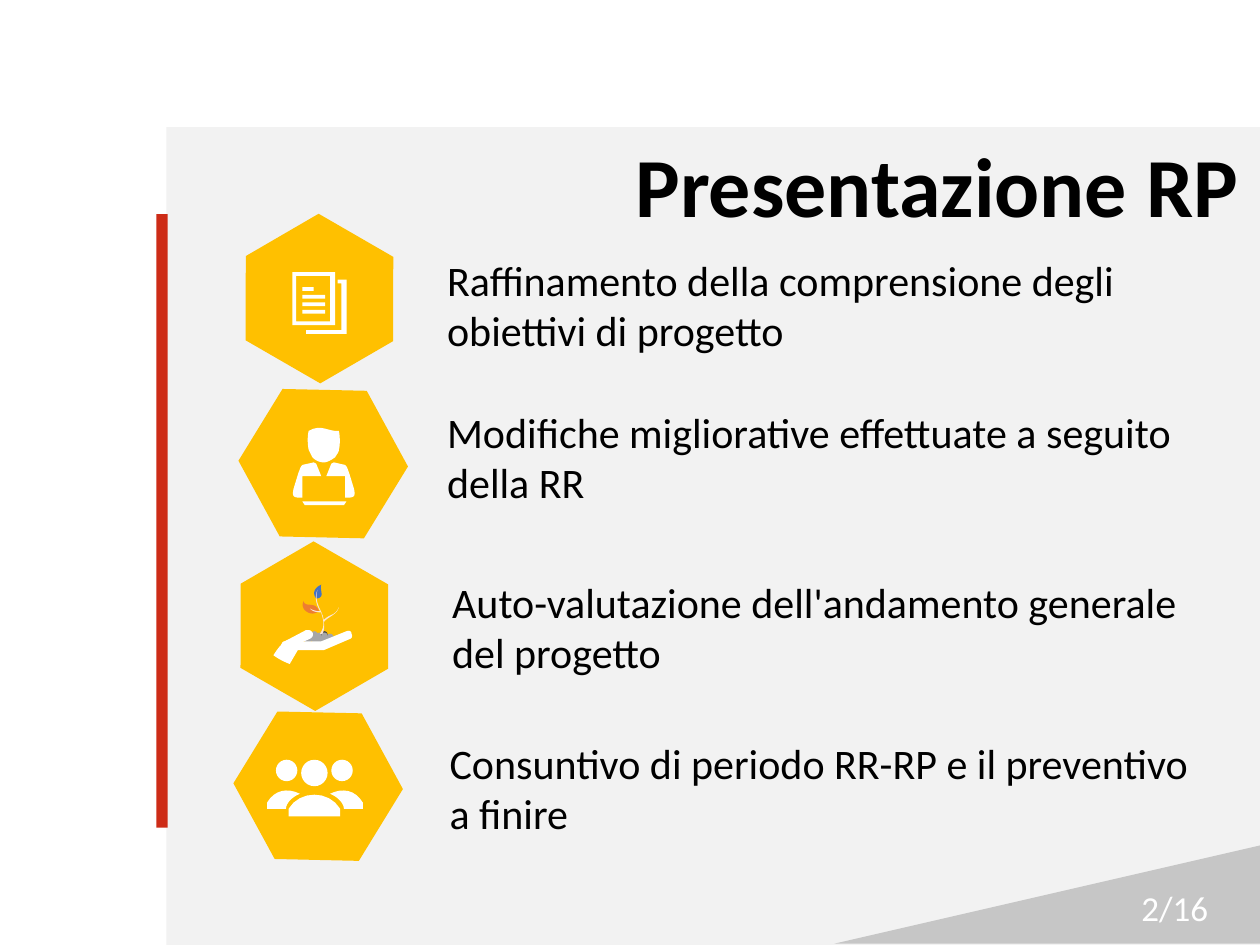
from lxml.etree import SubElement
from pptx import Presentation
from pptx.dml.color import RGBColor
from pptx.enum.shapes import MSO_SHAPE as Kind
from pptx.enum.text import MSO_ANCHOR as Anchor, MSO_AUTO_SIZE as Fit, PP_ALIGN as Align
from pptx.oxml.ns import qn
from pptx.util import Cm, Pt

WHITE, BLACK, GOLD, GREY = "FFFFFF", "000000", "FFC000", "A6A6A6"


def size(inch):
    return Cm(inch * 2.54)


def color(code):
    return RGBColor.from_string(code)


def trace(start, *parts):
    """List the points of an outline; a part is a line end or a cubic curve."""
    pts = [start]
    for part in parts:
        if len(part) == 2:
            pts.append(part)
            continue
        x, y = pts[-1]
        a, b, c, d, e, f = part
        for t in (i / 8 for i in range(1, 9)):
            u = 1 - t
            k = (u ** 3, 3 * u * u * t, 3 * u * t * t, t ** 3)
            pts.append((k[0] * x + k[1] * a + k[2] * c + k[3] * e,
                        k[0] * y + k[1] * b + k[2] * d + k[3] * f))
    return pts


def box(x, y, w, h):
    return [(x, y), (x + w, y), (x + w, y + h), (x, y + h)]


def flip(pts, axis):
    return [(2 * axis - x, y) for x, y in pts]


class Page:
    font = "Calibri"

    def __init__(self, slide):
        self.slide = slide
        self.into = slide.shapes

    def group(self):
        self.into = self.slide.shapes.add_group_shape().shapes

    def leave(self):
        self.into = self.slide.shapes

    def paint(self, shape, fill):
        shape.shadow.inherit = False
        shape.fill.solid()
        shape.fill.fore_color.rgb = color(fill)
        shape.line.fill.background()
        return shape

    def shape(self, kind, x, y, w, h, fill, turn=0, adj=None, alpha=None):
        item = self.into.add_shape(kind, size(x), size(y), size(w), size(h))
        self.paint(item, fill).rotation = turn
        if adj is not None:
            item.adjustments[0] = adj
        if alpha:
            tint = item.fill._xPr.find(qn("a:solidFill"))[0]
            SubElement(tint, qn("a:alpha"), val=str(alpha * 1000))

    def dot(self, x, y, d, fill):
        self.shape(Kind.OVAL, x, y, d, d, fill)

    def free(self, fill, *loops):
        loops = [[(size(x), size(y)) for x, y in loop] for loop in loops]
        pen = self.into.build_freeform(*loops[0][0], scale=1.0)
        for i, loop in enumerate(loops):
            if i:
                pen.move_to(*loop[0])
            pen.add_line_segments(loop[1:], close=True)
        self.paint(pen.convert_to_shape(), fill)

    def text(self, words, x, y, w, h, pt=24, ink=BLACK, bold=False,
             align=Align.LEFT, anchor=Anchor.TOP, wrap=True, gap=0):
        frame = self.into.add_textbox(size(x), size(y), size(w), size(h)).text_frame
        frame.word_wrap = wrap
        frame.auto_size = Fit.NONE if wrap else Fit.SHAPE_TO_FIT_TEXT
        frame.vertical_anchor = anchor
        frame.text = words
        para = frame.paragraphs[0]
        para.alignment = align
        if gap:
            para.space_before = Pt(gap)
        font = para.runs[0].font
        font.name, font.size, font.bold = self.font, Pt(pt), bold
        font.color.rgb = color(ink)


def people(page):
    page.group()
    page.dot(2.39, 6.03, 0.21, WHITE)
    page.free(WHITE, trace((2.29, 6.48), (2.29, 6.42),
                           (2.38, 6.27, 2.61, 6.27, 2.7, 6.42), (2.7, 6.48)))
    side = trace((2.62, 6.3), (2.72, 6.25, 2.82, 6.27, 2.88, 6.37), (2.88, 6.42),
                 (2.73, 6.42), (2.73, 6.38, 2.69, 6.33, 2.62, 6.3))
    for x, body in ((2.63, side), (2.19, flip(side, 2.5))):
        page.dot(x, 6.03, 0.17, WHITE)
        page.free(WHITE, body)
    page.leave()


def plant(page):
    page.group()
    # Leaves
    page.free("ED7D31", trace((2.41, 4.77), (2.41, 4.8, 2.45, 4.8, 2.47, 4.8),
                              (2.53, 4.81, 2.53, 4.85, 2.53, 4.85),
                              (2.53, 4.85, 2.51, 4.87, 2.48, 4.87),
                              (2.44, 4.87, 2.38, 4.83, 2.41, 4.77)))
    page.free(GOLD, trace((2.69, 4.79), (2.69, 4.79, 2.71, 4.85, 2.7, 4.87),
                          (2.67, 4.92, 2.64, 4.9, 2.59, 4.91),
                          (2.59, 4.91, 2.58, 4.89, 2.59, 4.86),
                          (2.61, 4.82, 2.68, 4.83, 2.69, 4.79)))
    page.free("4472C4", trace((2.51, 4.75), (2.54, 4.75, 2.56, 4.73, 2.55, 4.7),
                              (2.55, 4.68, 2.54, 4.66, 2.55, 4.64),
                              (2.55, 4.64, 2.52, 4.65, 2.5, 4.68),
                              (2.48, 4.72, 2.51, 4.75, 2.51, 4.75)))
    # Soil
    for x, y, d, fill in ((2.59, 5.03, 0.06, GREY), (2.49, 5.02, 0.09, GREY),
                          (2.55, 5.01, 0.05, "404040"), (2.55, 5.02, 0.05, GREY),
                          (2.55, 5.05, 0.05, GREY), (2.47, 5.05, 0.05, GREY),
                          (2.44, 5.03, 0.06, GREY), (2.47, 5.01, 0.05, GREY),
                          (2.42, 5.06, 0.05, GREY)):
        page.dot(x, y, d, fill)
    # Thumb, wrist, stem and palm
    page.free(WHITE, trace((2.27, 5.15), (2.28, 5.15), (2.46, 5.07),
                           (2.48, 5.06, 2.49, 5.04, 2.48, 5.02),
                           (2.47, 5, 2.45, 5, 2.43, 5), (2.26, 5.09),
                           (2.24, 5.09, 2.23, 5.11, 2.24, 5.13),
                           (2.25, 5.14, 2.26, 5.15, 2.27, 5.15)))
    page.free(WHITE, trace((2.3, 5.08), (2.3, 5.08, 2.27, 5.07, 2.23, 5.12),
                           (2.21, 5.14, 2.19, 5.17, 2.17, 5.2),
                           (2.22, 5.24, 2.3, 5.27, 2.3, 5.27), (2.37, 5.15),
                           (2.37, 5.15, 2.44, 5.12, 2.39, 5.12),
                           (2.37, 5.12, 2.33, 5.13, 2.34, 5.13),
                           (2.37, 5.13, 2.36, 5.08, 2.3, 5.08)))
    page.free("FBE5D6", trace((2.54, 5.03), (2.59, 4.96, 2.56, 4.91, 2.55, 4.86),
                              (2.5, 4.86, 2.48, 4.85, 2.46, 4.83),
                              (2.5, 4.85, 2.52, 4.85, 2.54, 4.85),
                              (2.52, 4.81, 2.49, 4.76, 2.52, 4.68),
                              (2.49, 4.79, 2.56, 4.84, 2.57, 4.92),
                              (2.62, 4.87, 2.66, 4.89, 2.69, 4.82),
                              (2.68, 4.88, 2.59, 4.9, 2.57, 4.94),
                              (2.58, 4.97, 2.57, 5.01, 2.56, 5.03)))
    page.free(WHITE, trace((2.27, 5.16), (2.57, 5.16), (2.78, 5.07),
                           (2.79, 5.07, 2.8, 5.05, 2.79, 5.03),
                           (2.79, 5.01, 2.77, 5, 2.75, 5.01), (2.55, 5.09), (2.27, 5.09),
                           (2.25, 5.09, 2.23, 5.11, 2.23, 5.13),
                           (2.23, 5.14, 2.25, 5.16, 2.27, 5.16)))
    page.leave()


def worker(page):
    head = trace((2.45, 3.57), (2.44, 3.51, 2.44, 3.47, 2.45, 3.42),
                 (2.55, 3.36, 2.61, 3.43, 2.69, 3.42), (2.7, 3.47, 2.7, 3.53, 2.69, 3.57),
                 (2.69, 3.59, 2.67, 3.61, 2.66, 3.63), (2.63, 3.65, 2.6, 3.67, 2.57, 3.67),
                 (2.53, 3.67, 2.5, 3.65, 2.48, 3.63), (2.47, 3.61, 2.46, 3.59, 2.45, 3.57))
    base = [(2.4, 3.98), (2.75, 3.98), (2.73, 4.01), (2.42, 4.01)]
    arm = trace((2.77, 3.75), (2.81, 3.88), (2.82, 3.93, 2.82, 3.95, 2.76, 3.95),
                (2.74, 3.95), (2.74, 3.78), (2.59, 3.78), (2.63, 3.68), (2.65, 3.67),
                (2.74, 3.69), (2.76, 3.71, 2.76, 3.73, 2.77, 3.75))
    page.free(WHITE, head, base, arm, flip(arm, 2.57))


def papers(page):
    page.group()
    page.free(WHITE, box(2.32, 2.16, 0.34, 0.42), box(2.35, 2.19, 0.27, 0.36)[::-1])
    for i, w in enumerate((0.09, 0.18, 0.18, 0.18)):
        page.shape(Kind.RECTANGLE, 2.4, 2.28 + 0.06 * i, w, 0.03, WHITE)
    page.free(WHITE, [(2.75, 2.65), (2.43, 2.65), (2.43, 2.62), (2.71, 2.62),
                      (2.71, 2.25), (2.68, 2.25), (2.68, 2.22), (2.75, 2.22)])
    page.leave()


def main():
    deck = Presentation()
    deck.slide_width, deck.slide_height = size(10), size(7.5)
    page = Page(deck.slides.add_slide(deck.slide_layouts[6]))

    # Panel, side bar and title
    page.shape(Kind.RECTANGLE, 1.32, 1.01, 8.68, 6.49, "F2F2F2")
    page.shape(Kind.RECTANGLE, 1.24, 1.7, 0.09, 4.87, "CD2C17")
    page.text("Presentazione RP", 4.9, 1.01, 5.03, 0.91, 48, bold=True,
              align=Align.RIGHT, wrap=False)

    # Topics: hexagon, icon and text
    mid = {"anchor": Anchor.MIDDLE, "gap": 4.8}
    rows = (
        ((1.86, 1.79), 30, papers, (3.45, 1.97, 6.29, 0.88), {},
         "Raffinamento della comprensione degli obiettivi di progetto"),
        ((1.89, 3.1), 61.4, worker, (3.45, 3.14, 6.25, 0.97), mid,
         "Modifiche migliorative effettuate a seguito della RR"),
        ((1.82, 4.39), 30, plant, (3.49, 4.61, 6.25, 0.73), mid,
         "Auto-valutazione dell'andamento generale del progetto"),
        ((1.85, 5.66), 61.4, people, (3.47, 5.8, 6.2, 0.9), mid,
         "Consuntivo di periodo RR-RP e il preventivo a finire"),
    )
    for spot, turn, icon, area, look, words in rows:
        page.shape(Kind.HEXAGON, *spot, 1.35, 1.16, GOLD, turn, 0.287)
        icon(page)
        page.text(words, *area, **look)

    # Corner with page number
    page.shape(Kind.ISOSCELES_TRIANGLE, 6.62, 6.71, 3.38, 0.78, BLACK, adj=1, alpha=18)
    page.text("2/16", 8.96, 6.99, 0.97, 0.4, 20, WHITE)

    deck.save("out.pptx")


if __name__ == "__main__":
    main()
